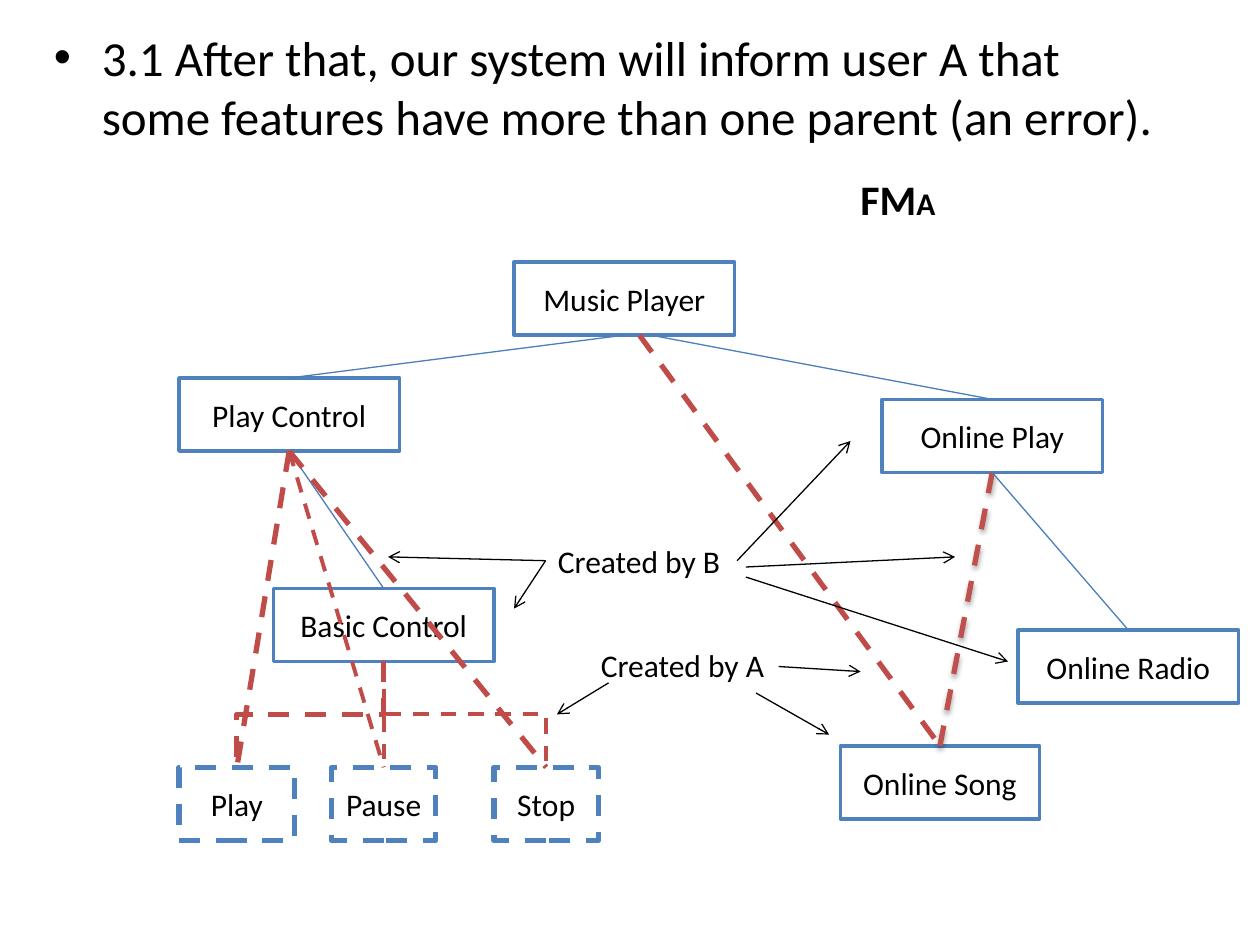
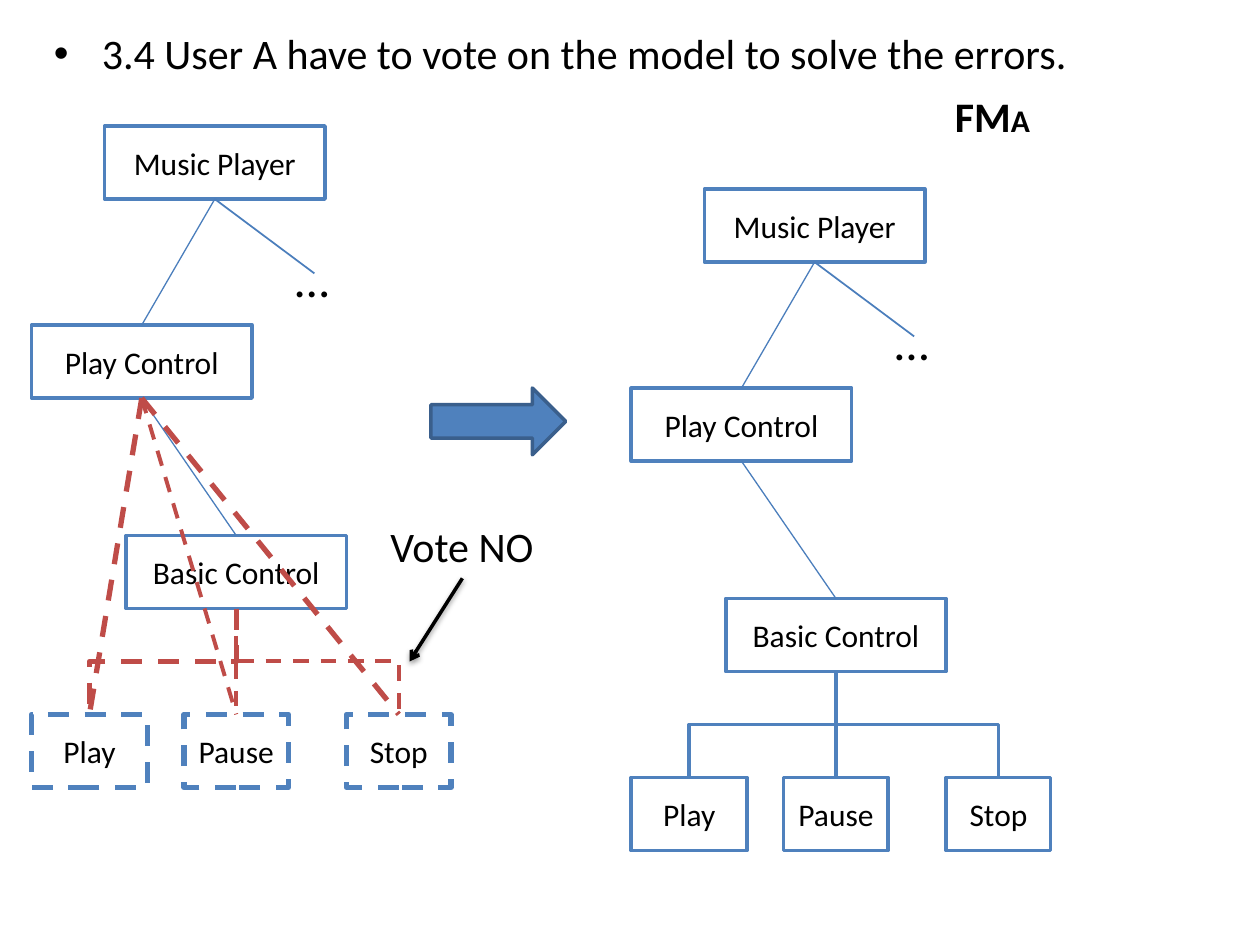
from lxml import etree
from pptx import Presentation
from pptx.dml.color import RGBColor
from pptx.enum import dml, shapes, text
from pptx.oxml import ns
from pptx.util import Inches, Pt

FONT = "Calibri"
BLACK, WHITE = "000000", "FFFFFF"
BOX_BLUE, EDGE_BLUE, ARROW_BLUE = "4F81BD", "4B7EBC", "3A5F8C"
RED, SHADOWED_RED = "BF4C48", "C0504D"
BOX_WIDTH, BOX_HEIGHT = 1.75, 0.58

# Line formats: colour, width in points, and optional dash, arrow, shadow
THIN = {"color": EDGE_BLUE, "width": 0.75}
SOLID = {"color": BOX_BLUE, "width": 2}
DASHED_BOX = {"color": BOX_BLUE, "width": 3, "dash": True}
CONFLICT = {"color": RED, "width": 3, "dash": True}
LIGHT_CONFLICT = {**CONFLICT, "width": 2.25}
POINTER = {"color": BLACK, "width": 0.75, "arrow": True}


def color(value):
    return RGBColor.from_string(value)


def apply_format(target, values):
    for name, value in values.items():
        setattr(target, name, value)


def add_xml(parent, tag, **attributes):
    element = etree.SubElement(parent, ns.qn(tag))
    for name, value in attributes.items():
        element.set(name, str(value))
    return element


def format_line(line, style):
    line.color.rgb = color(style["color"])
    line.width = Pt(style["width"])
    if style.get("dash"):
        line.dash_style = dml.MSO_LINE.DASH


# Text
def write(paragraph, content, size, bold=False):
    run = paragraph.add_run()
    run.text = content
    run.font.color.rgb = color(BLACK)
    apply_format(run.font, {"name": FONT, "size": Pt(size), "bold": bold})


def add_text(slide, left, top, width, height, parts, wrap=False, grow=True, bold=False):
    """Place one line of text; parts holds (content, size) pairs."""
    frame = slide.shapes.add_textbox(*map(Inches, (left, top, width, height))).text_frame
    sizing = text.MSO_AUTO_SIZE.SHAPE_TO_FIT_TEXT if grow else text.MSO_AUTO_SIZE.NONE
    apply_format(frame, {"word_wrap": wrap, "auto_size": sizing})
    paragraph = frame.paragraphs[0]
    for content, size in parts:
        write(paragraph, content, size, bold)
    return paragraph


def add_bullet(slide, content, size, height):
    paragraph = add_text(slide, 0.33, 0.17, 9, height, [(content, size)], wrap=True, grow=False)
    properties = paragraph._p.get_or_add_pPr()
    properties.set("marL", str(Inches(0.38)))
    properties.set("indent", str(Inches(-0.38)))
    add_xml(properties, "a:buFont", typeface="Arial")
    add_xml(properties, "a:buChar", char="•")


def add_model_label(slide, left, top):
    add_text(slide, left, top, 2.52, 0.5, [("FM", 24), ("A", 18)], wrap=True, bold=True)


# Shapes
def add_shape(slide, kind, left, top, width, height, fill, line):
    shape = slide.shapes.add_shape(kind, *map(Inches, (left, top, width, height)))
    shape.shadow.inherit = False
    shape.fill.solid()
    shape.fill.fore_color.rgb = color(fill)
    format_line(shape.line, line)
    return shape


def add_box(slide, label, left, top, width=BOX_WIDTH, line=SOLID):
    """Draw a feature box and return its top and bottom centre points."""
    shape = add_shape(slide, shapes.MSO_SHAPE.RECTANGLE, left, top, width, BOX_HEIGHT, WHITE, line)
    margins = {"margin_left": 0, "margin_right": 0}
    apply_format(shape.text_frame, {"vertical_anchor": text.MSO_ANCHOR.MIDDLE, **margins})
    paragraph = shape.text_frame.paragraphs[0]
    paragraph.alignment = text.PP_ALIGN.CENTER
    write(paragraph, label, 18)
    center = left + width / 2
    return (center, top), (center, top + BOX_HEIGHT)


# Connectors
def add_line(slide, start, end, style, kind=shapes.MSO_CONNECTOR.STRAIGHT):
    connector = slide.shapes.add_connector(kind, *map(Inches, (*start, *end)))
    format_line(connector.line, style)
    if style.get("arrow"):
        add_xml(connector.line._get_or_add_ln(), "a:tailEnd", type="arrow")
    effects = add_xml(connector._element.spPr, "a:effectLst")
    if "shadow" in style:
        opacity, distance = style["shadow"]
        shadow = add_xml(effects, "a:outerShdw", blurRad=Pt(3.1), dist=Pt(distance),
                         dir=90 * 60000, rotWithShape=0)
        add_xml(add_xml(shadow, "a:srgbClr", val=BLACK), "a:alpha", val=opacity * 1000)
    return connector


def add_elbow(slide, start, end, style):
    """Go down, across and down: a sideways elbow turned by a quarter."""
    (x1, y1), (x2, y2) = start, end
    middle_x, middle_y = (x1 + x2) / 2, (y1 + y2) / 2
    half_width, half_height = (y2 - y1) / 2, abs(x2 - x1) / 2
    turn = 90
    if x2 > x1:
        half_width, turn = -half_width, 270
    connector = add_line(slide, (middle_x - half_width, middle_y - half_height),
                         (middle_x + half_width, middle_y + half_height),
                         style, shapes.MSO_CONNECTOR.ELBOW)
    connector._element.spPr.find(ns.qn("a:xfrm")).set("rot", str(turn * 60000))


# Feature trees
def add_control_tree(slide, left, top, conflict):
    """Draw Play Control and its features; return its top centre."""
    control_top, control_bottom = add_box(slide, "Play Control", left, top)
    basic_top, basic_bottom = add_box(slide, "Basic Control", left + 0.75, top + 1.67)
    add_line(slide, control_bottom, basic_top, THIN)
    leaves = [
        ("Play", 0, 0.92, CONFLICT, CONFLICT),
        ("Pause", 1.21, 0.83, LIGHT_CONFLICT, LIGHT_CONFLICT),
        ("Stop", 2.5, 0.83, LIGHT_CONFLICT, CONFLICT),
    ]
    for label, offset, width, basic_style, control_style in leaves:
        leaf_top, _ = add_box(slide, label, left + offset, top + 3.09, width,
                              DASHED_BOX if conflict else SOLID)
        add_elbow(slide, basic_bottom, leaf_top, basic_style if conflict else SOLID)
        if conflict:
            add_line(slide, control_bottom, leaf_top, control_style)
    return control_top


def add_short_model(slide, left, top, conflict):
    """Draw Music Player with the control tree and an elided branch."""
    _, (x, y) = add_box(slide, "Music Player", left + 0.58, top)
    control_top = add_control_tree(slide, left, top + 1.58, conflict)
    add_line(slide, (x, y), control_top, THIN)
    add_line(slide, (x, y), (x + 0.79, y + 0.59), {**THIN, "width": 1})
    add_text(slide, x + 0.54, y + 0.34, 0.47, 0.57, [("…", 28)], wrap=True)


# Slides
def build_error_slide(slide):
    add_bullet(slide, "3.1 After that, our system will inform user A that some features "
               "have more than one parent (an error).", 28, 1.67)
    add_model_label(slide, 6.73, 1.33)

    control_top = add_control_tree(slide, 1.42, 3, conflict=True)
    _, (player_x, player_y) = add_box(slide, "Music Player", 4.08, 2.08)
    online_top, online_bottom = add_box(slide, "Online Play", 7, 3.17)
    song_top, _ = add_box(slide, "Online Song", 6.67, 5.92, 1.58)
    radio_top, _ = add_box(slide, "Online Radio", 8.08, 5)

    add_line(slide, (player_x, player_y), control_top, THIN)
    add_line(slide, (player_x + 0.21, player_y), online_top, THIN)
    add_line(slide, online_bottom, song_top,
             {**CONFLICT, "color": SHADOWED_RED, "shadow": (35, 1.8)})
    add_line(slide, online_bottom, radio_top, THIN)
    add_line(slide, (player_x + 0.12, player_y), song_top, CONFLICT)

    # Authors and the features they created
    add_text(slide, 4.33, 4.25, 1.51, 0.4, [("Created by B", 18)])
    add_text(slide, 4.67, 5.08, 1.51, 0.4, [("Created by A", 18)])
    pointers = [
        ((4.33, 4.45), (4.08, 4.83)), ((4.33, 4.45), (3.08, 4.42)),
        ((5.92, 4.5), (7.58, 4.42)), ((5.85, 4.45), (6.75, 3.5)),
        ((5.92, 4.58), (8, 5.25)), ((4.83, 5.42), (4.42, 5.67)),
        ((6, 5.5), (6.58, 5.83)), ((6.18, 5.29), (6.83, 5.33)),
    ]
    for start, end in pointers:
        add_line(slide, start, end, POINTER)


def build_vote_slide(slide):
    add_bullet(slide, "3.4 User A have to vote on the model to solve the errors.", 24, 1.33)
    add_model_label(slide, 7.48, 0.67)
    add_short_model(slide, 0.25, 1, conflict=True)
    add_short_model(slide, 5.01, 1.5, conflict=False)
    add_shape(slide, shapes.MSO_SHAPE.RIGHT_ARROW, 3.42, 3.08, 1.07, 0.53,
              BOX_BLUE, {"color": ARROW_BLUE, "width": 2})
    add_text(slide, 3, 4.08, 1.35, 0.5, [("Vote NO", 24)])
    add_line(slide, (3.67, 4.59), (3.25, 5.25), {**POINTER, "width": 2, "shadow": (38, 1.6)})


def main():
    presentation = Presentation()
    apply_format(presentation, {"slide_width": Inches(10), "slide_height": Inches(7.5)})
    for build in (build_error_slide, build_vote_slide):
        build(presentation.slides.add_slide(presentation.slide_layouts[6]))
    presentation.save("out.pptx")


if __name__ == "__main__":
    main()
